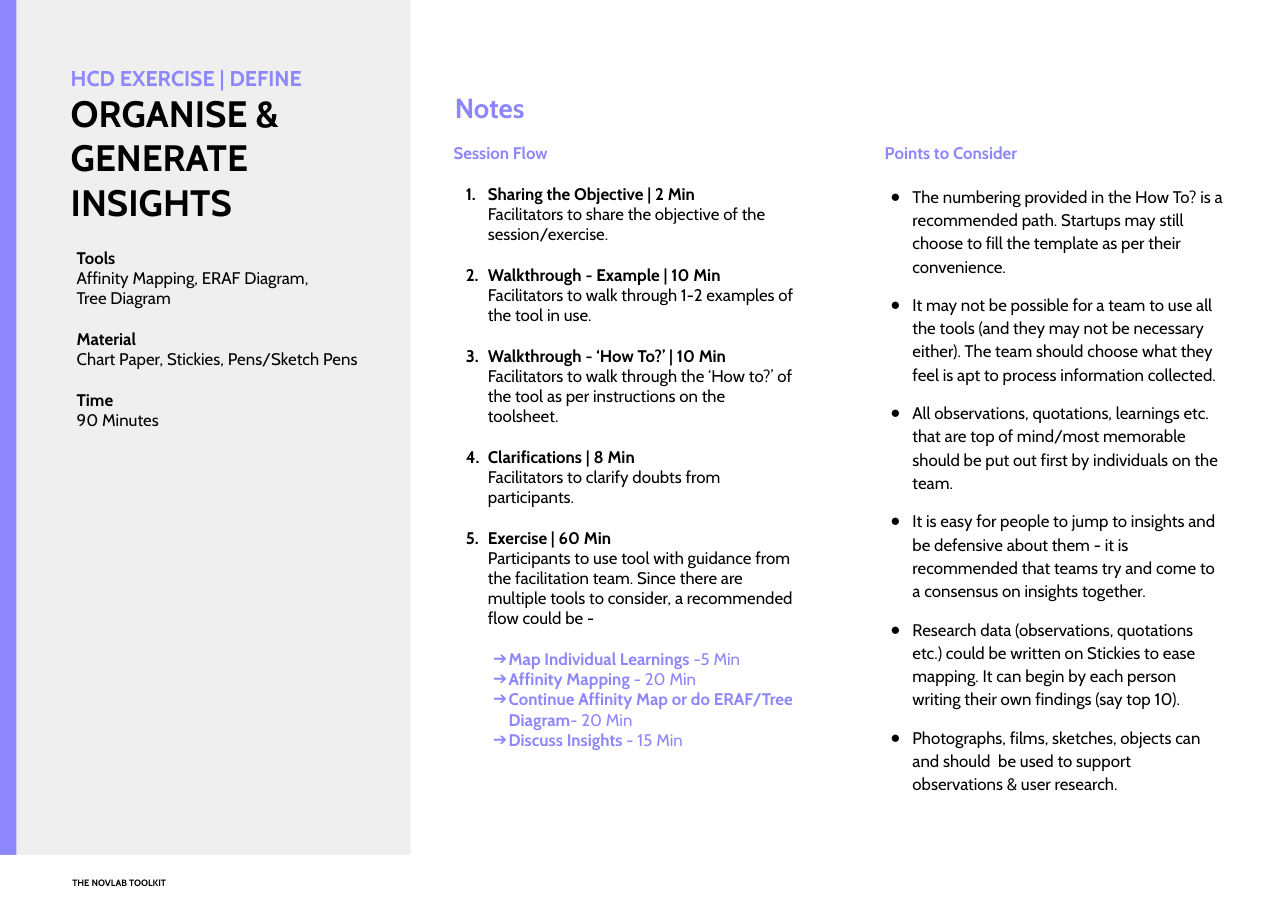
import pptx
import pptx.dml.color
import pptx.enum.shapes
import pptx.enum.text
import pptx.oxml
import pptx.oxml.ns
import pptx.util

Cm, Pt = pptx.util.Cm, pptx.util.Pt
Anchor = pptx.enum.text.MSO_ANCHOR

VIOLET, BLACK, GREY, WHITE = "8D86FC", "000000", "EFEFEF", "FFFFFF"
LINE_GAP = 13.2  # height of one line of 11 pt text


def rgb(value):
    return pptx.dml.color.RGBColor.from_string(value)


class Sheet:
    """Holds the font and the current slide."""

    font = "Cabin"

    def __init__(self, slide):
        self.slide = slide

    def panel(self, left, top, width, height, color):
        panel = self.slide.shapes.add_shape(
            pptx.enum.shapes.MSO_SHAPE.RECTANGLE, Cm(left), Cm(top), Cm(width), Cm(height))
        panel.shadow.inherit = False
        panel.fill.solid()
        panel.fill.fore_color.rgb = rgb(color)
        panel.line.fill.background()

    def textbox(self, left, top, width, height, paragraphs, anchor=Anchor.TOP):
        box = self.slide.shapes.add_textbox(Cm(left), Cm(top), Cm(width), Cm(height))
        self.fill_frame(box.text_frame, paragraphs, anchor, 0.25)

    def placeholder(self, index, left, top, width, height, paragraphs, anchor=Anchor.TOP):
        holder = self.slide.placeholders[index]
        holder.left, holder.top, holder.width, holder.height = map(Cm, (left, top, width, height))
        self.slide.shapes._spTree.append(holder._element)  # bring above the panels
        self.fill_frame(holder.text_frame, paragraphs, anchor, 0.33)

    def fill_frame(self, frame, paragraphs, anchor, inset):
        frame.word_wrap = True
        frame.auto_size = pptx.enum.text.MSO_AUTO_SIZE.NONE
        frame.vertical_anchor = anchor
        frame.margin_left = frame.margin_right = Cm(inset)
        frame.margin_top = frame.margin_bottom = Cm(inset)
        for number, settings in enumerate(paragraphs):
            paragraph = frame.paragraphs[0] if number == 0 else frame.add_paragraph()
            self.paragraph(paragraph, **settings)

    def paragraph(self, paragraph, runs, size=11, color=BLACK, before=0,
                  spacing=1.0, margin=0, hanging=0, bullet=None):
        paragraph.alignment = pptx.enum.text.PP_ALIGN.LEFT
        paragraph.line_spacing = spacing
        paragraph.space_before, paragraph.space_after = Pt(before), Pt(0)
        self.bullet(paragraph, margin, hanging, bullet, color)
        for text, bold_face in runs:
            run = paragraph.add_run()
            run.text = text
            run.font.name, run.font.size, run.font.bold = self.font, Pt(size), bold_face
            run.font.color.rgb = rgb(color)

    def bullet(self, paragraph, margin, hanging, bullet, color):
        """A number starts a numbered item, a character a bulleted one."""
        properties = paragraph._p.get_or_add_pPr()
        properties.set("marL", str(Cm(margin)))
        properties.set("indent", str(-Cm(hanging)))
        namespace = pptx.oxml.ns.nsdecls("a")
        if bullet is None:
            marks = [f"<a:buNone {namespace}/>"]
        else:
            marks = [f'<a:buClr {namespace}><a:srgbClr val="{color}"/></a:buClr>']
            if isinstance(bullet, int):
                marks.append(f'<a:buAutoNum {namespace} type="arabicPeriod" startAt="{bullet}"/>')
            else:
                marks.append(f'<a:buChar {namespace} char="{bullet}"/>')
        for mark in marks:
            properties.append(pptx.oxml.parse_xml(mark))


def bold(text, **settings):
    return dict(runs=[(text, True)], **settings)


def plain(text, **settings):
    return dict(runs=[(text, False)], **settings)


SESSIONS = [
    ("Sharing the Objective | 2 Min",
     "Facilitators to share the objective of the session/exercise."),
    ("Walkthrough - Example | 10 Min",
     "Facilitators to walk through 1-2 examples of the tool in use."),
    ("Walkthrough - ‘How To?’ | 10 Min",
     "Facilitators to walk through the ‘How to?’ of the tool as per instructions on the toolsheet."),
    ("Clarifications | 8 Min",
     "Facilitators to clarify doubts from participants."),
    ("Exercise | 60 Min",
     "Participants to use tool with guidance from the facilitation team. Since there are "
     "multiple tools to consider, a recommended flow could be -"),
]
EXERCISE_STEPS = [
    ("Map Individual Learnings ", "-5 Min"),
    ("Affinity Mapping ", "- 20 Min"),
    ("Continue Affinity Map or do ERAF/Tree Diagram", "- 20 Min"),
    ("Discuss Insights ", "- 15 Min"),
]
POINTS = [
    "The numbering provided in the How To? is a recommended path. Startups may still choose "
    "to fill the template as per their convenience.",
    "It may not be possible for a team to use all the tools (and they may not be necessary "
    "either). The team should choose what they feel is apt to process information collected.",
    "All observations, quotations, learnings etc. that are top of mind/most memorable should "
    "be put out first by individuals on the team.",
    "It is easy for people to jump to insights and be defensive about them - it is "
    "recommended that teams try and come to a consensus on insights together.",
    "Research data (observations, quotations etc.) could be written on Stickies to ease "
    "mapping. It can begin by each person writing their own findings (say top 10).",
    "Photographs, films, sketches, objects can and should  be used to support observations "
    "& user research.",
]
PREPARATION = [
    ("Tools", ["Affinity Mapping, ERAF Diagram,", "Tree Diagram"]),
    ("Material", ["Chart Paper, Stickies, Pens/Sketch Pens"]),
    ("Time", ["90 Minutes"]),
]


def main():
    deck = pptx.Presentation()
    deck.slide_width, deck.slide_height = Cm(29.7), Cm(21)
    sheet = Sheet(deck.slides.add_slide(deck.slide_layouts[3]))

    # Background panels
    sheet.panel(0, 0, 9.47, 21, GREY)
    sheet.panel(0, 0, 0.38, 21, VIOLET)
    sheet.panel(0, 19.71, 29.7, 1.29, WHITE)

    # Title and preparation
    sheet.placeholder(0, 1.3, 2.41, 7.92, 3.07, [
        bold("HCD EXERCISE | DEFINE", size=14, color=VIOLET),
        bold("ORGANISE & GENERATE INSIGHTS", size=24),
    ], Anchor.BOTTOM)
    preparation = []
    for heading, lines in PREPARATION:
        preparation.append(bold(heading, before=LINE_GAP if preparation else 0))
        preparation += [plain(line) for line in lines]
    sheet.textbox(1.52, 5.46, 8.33, 5.44, preparation)

    # Session flow
    sheet.textbox(10.24, 1.6, 8.33, 1.75, [bold("Notes", size=18, color=VIOLET)], Anchor.MIDDLE)
    flow = [bold("Session Flow", color=VIOLET)]
    for number, (heading, detail) in enumerate(SESSIONS, 1):
        flow.append(bold(heading, before=LINE_GAP, margin=0.79, hanging=0.51, bullet=number))
        flow.append(plain(detail, margin=0.79))
    for number, (step, duration) in enumerate(EXERCISE_STEPS):
        flow.append(dict(runs=[(step, True), (duration, False)], color=VIOLET,
                         before=0 if number else LINE_GAP,
                         margin=1.27, hanging=0.36, bullet="➔"))
    sheet.placeholder(1, 10.13, 2.97, 8.53, 15.09, flow)

    # Points to consider
    points = [bold("Points to Consider", color=VIOLET)]
    for number, point in enumerate(POINTS):
        points.append(plain(point, before=10 if number else LINE_GAP, spacing=1.15,
                            margin=0.64, hanging=0.51, bullet="●"))
    sheet.placeholder(2, 20.07, 2.97, 8.53, 16.18, points)

    # Footer
    sheet.textbox(1.42, 19.99, 11.71, 0.74, [bold("THE NOVLAB TOOLKIT", size=6)], Anchor.BOTTOM)

    deck.save("out.pptx")


if __name__ == "__main__":
    main()
